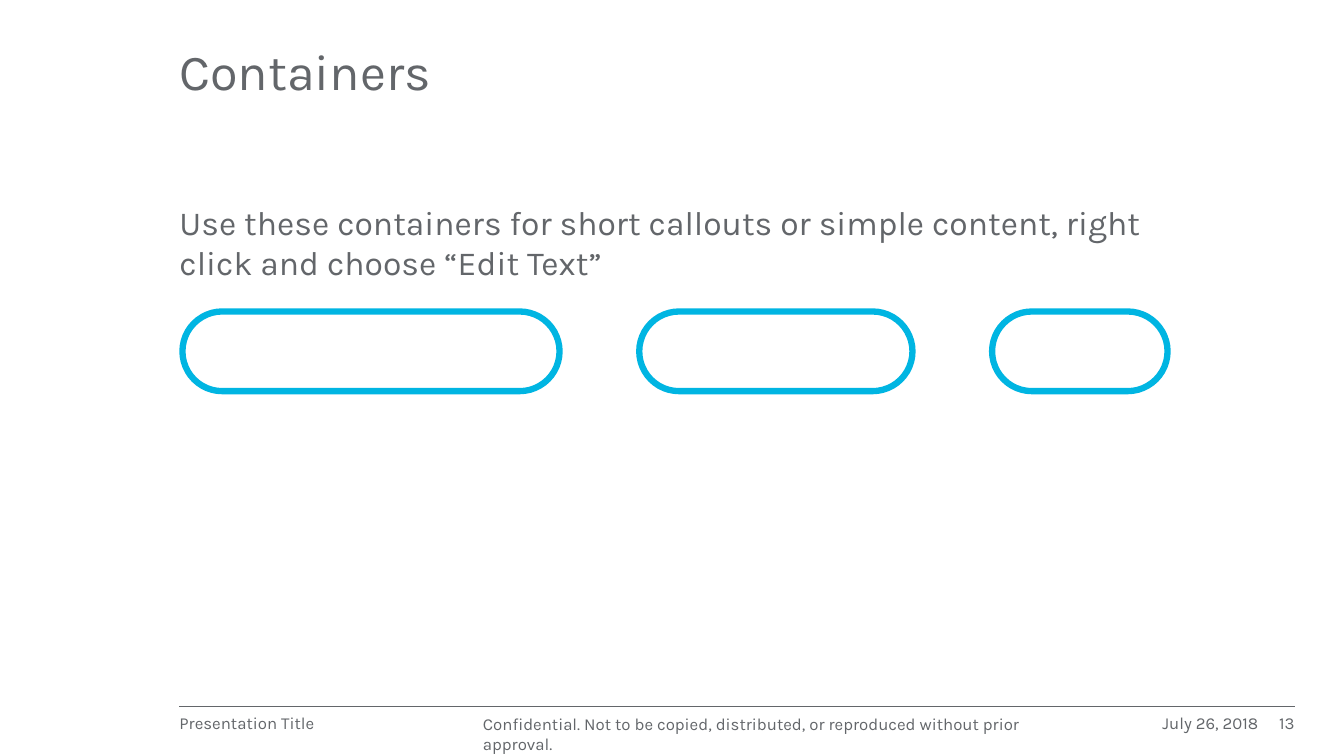
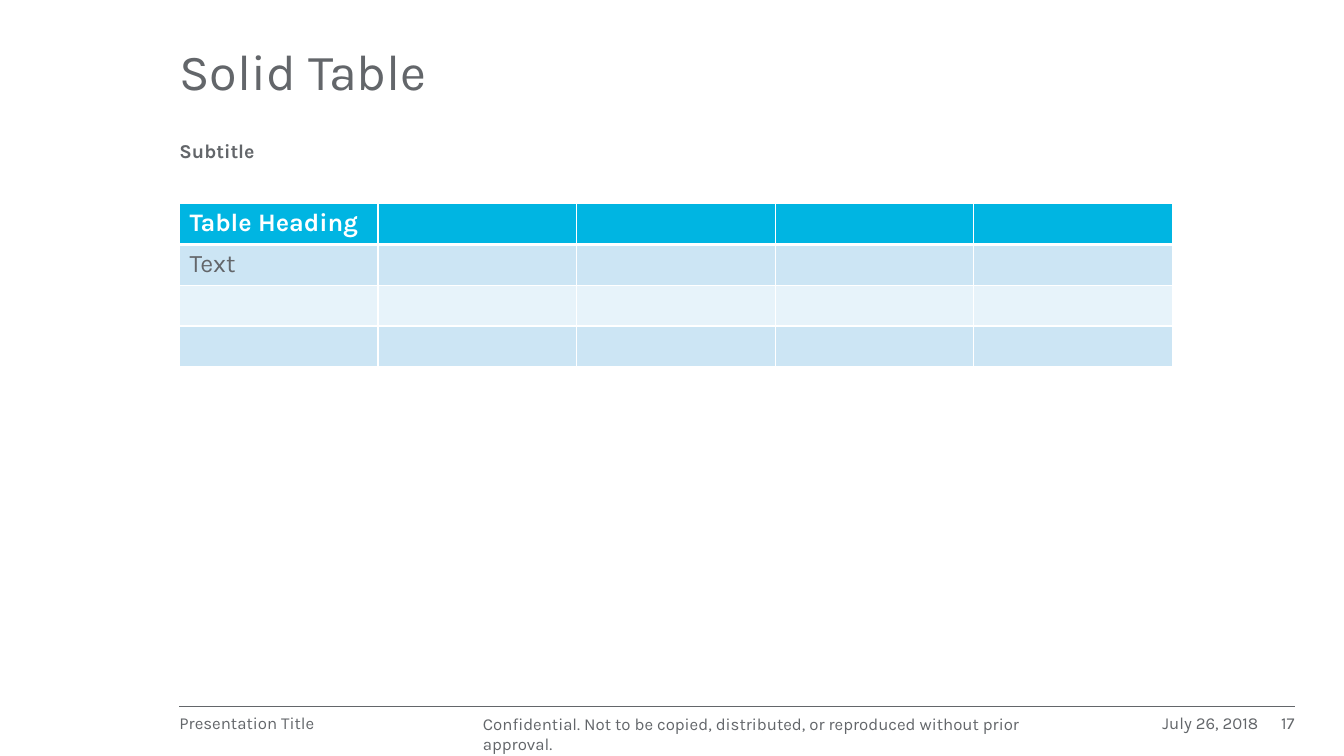
from lxml.etree import SubElement
from pptx import Presentation
from pptx.dml.color import RGBColor
from pptx.enum.shapes import MSO_CONNECTOR, MSO_SHAPE
from pptx.enum.text import MSO_ANCHOR, PP_ALIGN
from pptx.oxml.ns import qn
from pptx.util import Inches, Pt

GREY = RGBColor(0x63, 0x66, 0x6A)
CYAN = RGBColor(0x00, 0xB5, 0xE2)
BAND_DARK = RGBColor(0xCC, 0xE5, 0xF4)
BAND_LIGHT = RGBColor(0xE7, 0xF3, 0xFA)
WHITE = RGBColor(0xFF, 0xFF, 0xFF)
FONT = "Karla"

LEFT = 1.78
CONTENT_TOP = 2.02
CONTENT_WIDTH = 9.85
FOOTER_BOX = (LEFT, 7.01, 11.06, 0.27)


def write(frame, text, size=12, color=GREY, bold=False, align=PP_ALIGN.LEFT, spacing=None):
    """Put one formatted paragraph into a text frame."""
    paragraph = frame.paragraphs[0]
    paragraph.alignment = align
    if spacing:
        paragraph.line_spacing = spacing
    run = paragraph.add_run()
    run.text = text
    run.font.name = FONT
    run.font.size = Pt(size)
    run.font.bold = bold
    run.font.color.rgb = color


def add_text(slide, box, text, anchor=MSO_ANCHOR.TOP, **text_format):
    """Add a wrapping text box without margins."""
    frame = slide.shapes.add_textbox(*map(Inches, box)).text_frame
    frame.word_wrap = True
    frame.vertical_anchor = anchor
    frame.margin_left = frame.margin_top = frame.margin_right = frame.margin_bottom = 0
    write(frame, text, **text_format)


def add_footer(slide, box, number):
    """Draw the footer rule and the four texts below it."""
    left, top, width, height = box
    right = left + width
    rule = slide.shapes.add_connector(
        MSO_CONNECTOR.STRAIGHT, Inches(left), Inches(top), Inches(right), Inches(top))
    rule.line.color.rgb = GREY
    rule.line.width = Pt(0.25)
    SubElement(rule._element.spPr, qn("a:effectLst"))
    notice = "Confidential. Not to be copied, distributed, or reproduced without prior approval."
    parts = [
        (0, 2.94, "Presentation Title", PP_ALIGN.LEFT, 0.99),
        (3.01, 5.64, notice, PP_ALIGN.LEFT, None),
        (8.65, 2.05, "July 26, 2018", PP_ALIGN.RIGHT, 0.99),
        (10.7, 0.36, str(number), PP_ALIGN.RIGHT, 0.99),
    ]
    for offset, part_width, text, align, spacing in parts:
        add_text(slide, (left + offset, top + 0.07, part_width, height - 0.07), text,
                 align=align, spacing=spacing)


def add_base_slide(presentation, title, number):
    """Add a blank slide with the shared title and footer."""
    slide = presentation.slides.add_slide(presentation.slide_layouts[6])
    add_text(slide, (LEFT, 0.24, CONTENT_WIDTH, 1), title,
             anchor=MSO_ANCHOR.MIDDLE, size=36, spacing=0.9)
    add_footer(slide, FOOTER_BOX, number)
    return slide


def add_containers(slide, box, widths):
    """Draw a row of outlined pills whose gaps equal their height."""
    left, top, height = box
    for width in widths:
        pill = slide.shapes.add_shape(
            MSO_SHAPE.ROUNDED_RECTANGLE, *map(Inches, (left, top, width, height)))
        pill.adjustments[0] = 0.5
        pill.shadow.inherit = False
        pill.fill.background()
        pill.line.color.rgb = CYAN
        pill.line.width = Pt(4.5)
        left += width + height


def set_borders(cell, **widths):
    """Give a cell white borders, with widths in points by side."""
    properties = cell._tc.get_or_add_tcPr()
    for side in "LRTB":
        line = SubElement(properties, qn(f"a:ln{side}"), w=str(Pt(widths.get(side, 1))))
        fill = SubElement(line, qn("a:solidFill"))
        SubElement(fill, qn("a:srgbClr"), val=str(WHITE))


def add_solid_table(slide, box, rows):
    """Draw a table with a solid heading row and banded body rows."""
    frame = slide.shapes.add_table(len(rows), len(rows[0]), *map(Inches, box))
    table = frame.table
    for r, texts in enumerate(rows):
        heading = r == 0
        borders = {0: {"B": 3}, 1: {"T": 3}}.get(r, {})
        fill = CYAN if heading else BAND_DARK if r % 2 else BAND_LIGHT
        for c, text in enumerate(texts):
            cell = table.cell(r, c)
            set_borders(cell, **borders)
            cell.fill.solid()
            cell.fill.fore_color.rgb = fill
            if text:
                write(cell.text_frame, text, size=18, bold=heading,
                      color=WHITE if heading else GREY)


def build_containers_slide(presentation):
    """Build the slide with the callout containers."""
    slide = add_base_slide(presentation, "Containers", 13)
    add_text(slide, (LEFT, CONTENT_TOP, CONTENT_WIDTH, 4.75),
             "Use these containers for short callouts or simple content, "
             "right click and choose “Edit Text”", size=24, spacing=0.99)
    add_containers(slide, (1.81, 3.09, 0.79), [3.74, 2.71, 1.74])


def build_table_slide(presentation):
    """Build the slide with the solid table."""
    slide = add_base_slide(presentation, "Solid Table", 17)
    add_text(slide, (LEFT, 1.24, CONTENT_WIDTH, 0.37), "Subtitle",
             anchor=MSO_ANCHOR.BOTTOM, size=14, bold=True, spacing=0.9)
    rows = [[first] + [""] * 4 for first in ("Table Heading", "Text", "", "")]
    add_solid_table(slide, (LEFT, CONTENT_TOP, CONTENT_WIDTH, 1.62), rows)


def main():
    """Build and save the presentation."""
    presentation = Presentation()
    presentation.slide_width = Inches(13.33)
    presentation.slide_height = Inches(7.5)
    build_containers_slide(presentation)
    build_table_slide(presentation)
    presentation.save("out.pptx")


if __name__ == "__main__":
    main()
